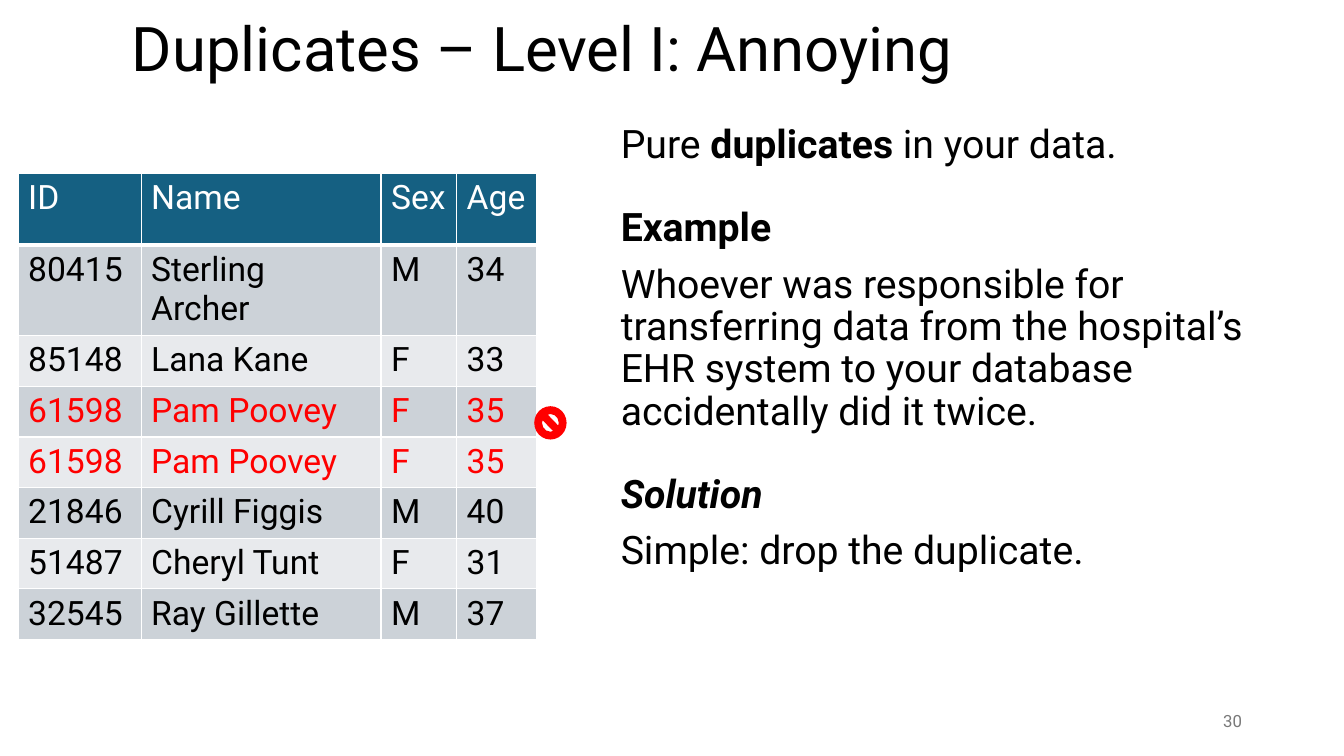
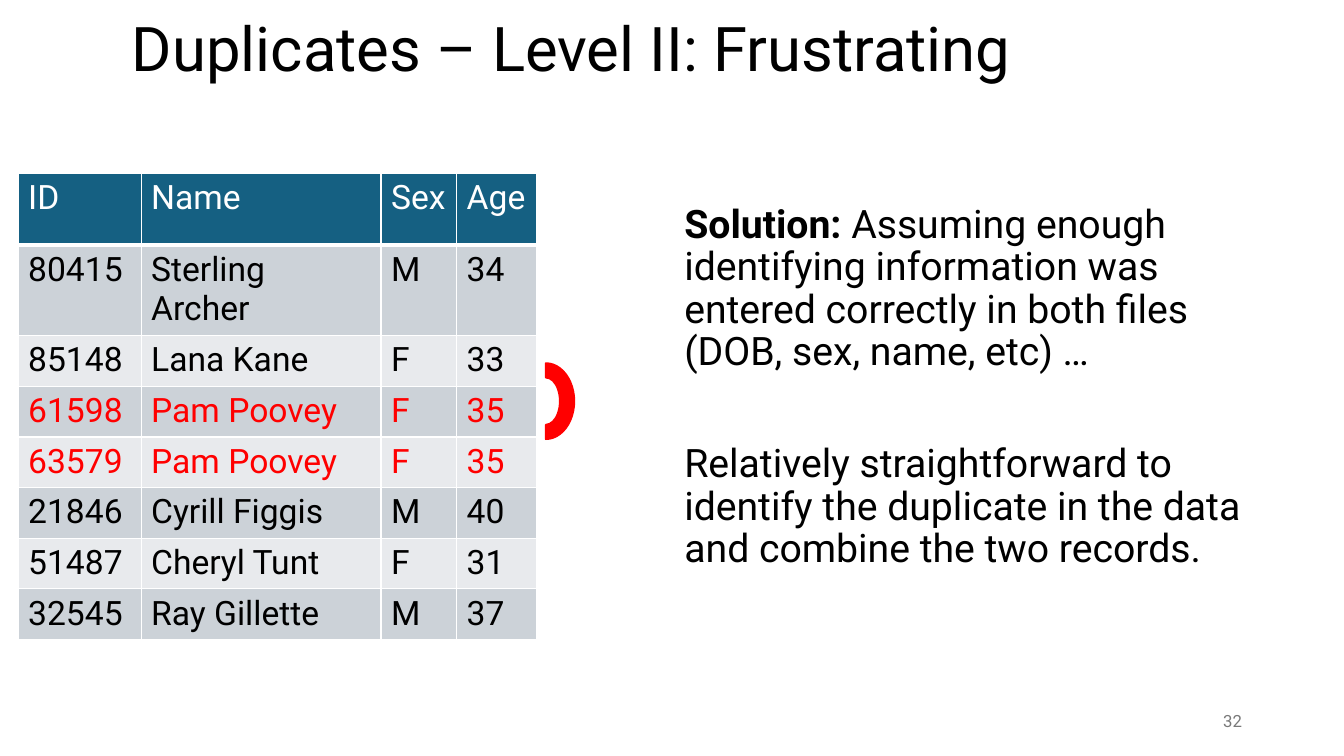
from lxml import etree
from pptx import Presentation
from pptx.dml.color import RGBColor
from pptx.enum.shapes import MSO_SHAPE
from pptx.enum.text import MSO_ANCHOR, PP_ALIGN
from pptx.oxml.ns import qn
from pptx.util import Inches, Pt

TOP, MIDDLE = MSO_ANCHOR.TOP, MSO_ANCHOR.MIDDLE
LEFT, RIGHT = PP_ALIGN.LEFT, PP_ALIGN.RIGHT
NO_SIGN, ARC = MSO_SHAPE.NO_SYMBOL, MSO_SHAPE.BLOCK_ARC

BLACK = RGBColor(0x00, 0x00, 0x00)
WHITE = RGBColor(0xFF, 0xFF, 0xFF)
RED = RGBColor(0xFF, 0x00, 0x00)
GREY = RGBColor(0x79, 0x79, 0x79)
HEADER_BLUE = RGBColor(0x15, 0x60, 0x82)
BANDS = (RGBColor(0xE8, 0xEA, 0xED), RGBColor(0xCC, 0xD2, 0xD8))

# Run formats shared by both slides
BASE = {"name": "Roboto", "bold": False, "italic": False}
TITLE = BASE | {"size": Pt(44)}
BODY = BASE | {"size": Pt(28)}
STRONG = BODY | {"bold": True}
STRONG_ITALIC = STRONG | {"italic": True}
CELL = BASE | {"size": Pt(24)}
NUMBER = BASE | {"size": Pt(12)}

# The slide is a grid of 100 columns by 100 rows
deck = Presentation()
deck.slide_width, deck.slide_height = Inches(13.33), Inches(7.5)
COL, ROW = deck.slide_width / 100, deck.slide_height / 100

TITLE_BOX = (9.08, 1.6, 82.2, 10.53)
NUMBER_BOX = (70.65, 92.67, 22.5, 5.33)
TABLE_CORNER = (1.35, 22.93)
TABLE_COLS = (9.15, 17.85, 5.63, 5.92)
HEADER_ROW, DATA_ROW = 9.47, 6.7


def place(box):
    """Turn grid columns and rows into slide lengths."""
    return [int(share * unit) for share, unit in zip(box, (COL, ROW, COL, ROW))]


def write(frame, paragraphs, color, anchor=TOP, align=LEFT, spacing=1.0):
    """Fill a text frame with (space before, [(text, format), ...]) paragraphs."""
    frame.word_wrap = True
    frame.vertical_anchor = anchor
    for index, (space, runs) in enumerate(paragraphs):
        paragraph = frame.add_paragraph() if index else frame.paragraphs[0]
        paragraph.alignment = align
        paragraph.line_spacing = spacing
        paragraph.space_before = Pt(space)
        for text, style in runs:
            run = paragraph.add_run()
            run.text = text
            run.font.color.rgb = color
            for key, value in style.items():
                setattr(run.font, key, value)


SLIDES = [
    {
        "title": "Duplicates – Level I: Annoying",
        "number": "30",
        "second_id": "61598",
        "body_box": (45.45, 15.87, 51.15, 80),
        "body": [
            (0, [("Pure ", BODY), ("duplicates", STRONG), (" in your data.", BODY)]),
            (29, [("Example", STRONG)]),
            (10, [("Whoever was responsible for transferring data from the hospital’s "
                   "EHR system to your database accidentally did it twice.", BODY)]),
            (29, [("Solution", STRONG_ITALIC)]),
            (10, [("Simple: drop the duplicate.", BODY)]),
        ],
        "mark": (NO_SIGN, (39.83, 53.87, 2.25, 4.13), 0),
    },
    {
        "title": "Duplicates – Level II: Frustrating",
        "number": "32",
        "second_id": "63579",
        "body_box": (50.18, 26.4, 46.95, 65),
        "body": [
            (0, [("Solution: ", STRONG),
                 ("Assuming enough identifying information was entered correctly "
                  "in both files (DOB, sex, name, etc) …", BODY)]),
            (50, [("Relatively straightforward to identify the duplicate in the data "
                   "and combine the two records.", BODY)]),
        ],
        "mark": (ARC, (37.8, 49.33, 5.63, 7.47), 90),
    },
]

for content in SLIDES:
    slide = deck.slides.add_slide(deck.slide_layouts[6])

    # Title, explanation and slide number
    title = slide.shapes.add_textbox(*place(TITLE_BOX))
    write(title.text_frame, [(0, [(content["title"], TITLE)])], BLACK, MIDDLE, spacing=0.9)
    body = slide.shapes.add_textbox(*place(content["body_box"]))
    write(body.text_frame, content["body"], BLACK, spacing=0.9)
    number = slide.shapes.add_textbox(*place(NUMBER_BOX))
    write(number.text_frame, [(0, [(content["number"], NUMBER)])], GREY, MIDDLE, RIGHT)

    # Patient table, with the duplicated person in red
    records = [
        ("ID", "Name", "Sex", "Age"),
        ("80415", "Sterling Archer", "M", "34"),
        ("85148", "Lana Kane", "F", "33"),
        ("61598", "Pam Poovey", "F", "35"),
        (content["second_id"], "Pam Poovey", "F", "35"),
        ("21846", "Cyrill Figgis", "M", "40"),
        ("51487", "Cheryl Tunt", "F", "31"),
        ("32545", "Ray Gillette", "M", "37"),
    ]
    table_size = (sum(TABLE_COLS), HEADER_ROW + DATA_ROW * (len(records) - 1))
    patients = slide.shapes.add_table(
        len(records), len(TABLE_COLS), *place(TABLE_CORNER + table_size)).table
    for column, share in zip(patients.columns, TABLE_COLS):
        column.width = int(share * COL)
    for r, record in enumerate(records):
        patients.rows[r].height = int((DATA_ROW if r else HEADER_ROW) * ROW)
        fill = BANDS[r % 2] if r else HEADER_BLUE
        color = RED if record[1] == "Pam Poovey" else BLACK if r else WHITE
        for c, value in enumerate(record):
            cell = patients.cell(r, c)
            cell.fill.solid()
            cell.fill.fore_color.rgb = fill
            write(cell.text_frame, [(0, [(value, CELL)])], color)
            # White borders, thicker between header and data
            properties = cell._tc.get_or_add_tcPr()
            widths = {"lnL": 1, "lnR": 1, "lnT": 3 if r == 1 else 1, "lnB": 1 if r else 3}
            for position, (side, width) in enumerate(widths.items()):
                border = etree.Element(qn("a:" + side), w=str(Pt(width)))
                solid = etree.SubElement(border, qn("a:solidFill"))
                etree.SubElement(solid, qn("a:srgbClr"), val=str(WHITE))
                properties.insert(position, border)

    # Red mark beside the duplicated rows
    preset, mark_box, rotation = content["mark"]
    mark = slide.shapes.add_shape(preset, *place(mark_box))
    mark.rotation = rotation
    mark.shadow.inherit = False
    mark.fill.solid()
    mark.fill.fore_color.rgb = RED
    mark.line.color.rgb = RED
    mark.line.width = Pt(1.5)

deck.save("out.pptx")
